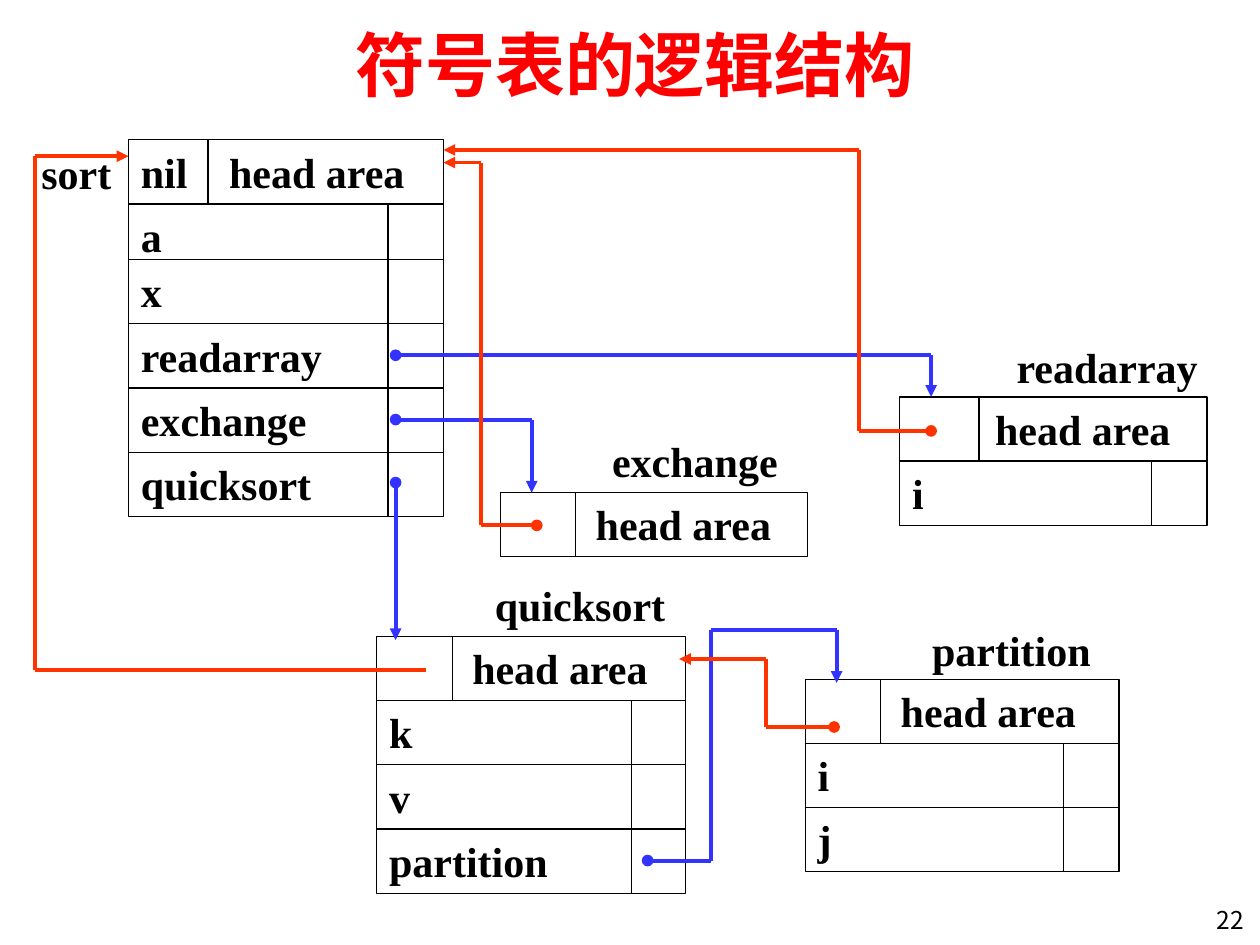
from dataclasses import dataclass
from itertools import pairwise

from lxml.etree import SubElement
from pptx import Presentation
from pptx.dml.color import RGBColor
from pptx.enum.shapes import MSO_CONNECTOR as Connector, MSO_SHAPE as Shape
from pptx.enum.text import MSO_ANCHOR as Anchor, PP_ALIGN as Align
from pptx.oxml.ns import qn
from pptx.util import Inches, Pt


@dataclass(frozen=True)
class Theme:
    sans: str = "Noto Sans CJK SC"
    serif: str = "Times New Roman"
    ink: str = "000000"
    heading: str = "FF0000"
    down: str = "3333FF"
    up: str = "FF3300"
    heading_size: int = 40
    body_size: int = 24
    number_size: int = 14
    thin: float = 0.75
    thick: float = 2.25


THEME = Theme()
ROW = 0.51
SHORT_ROW = 0.44
HEADING = "符号表的逻辑结构"
NUMBER = "22"

TABLES = {
    "sort": dict(
        left=1.02, top=1.11, width=2.5, label=(0.23, 1.12, 0.8), head="nil\thead area",
        split=0.63, tab=0.7, slot=2.06,
        rows=["a", "x", "readarray", "exchange", "quicksort"], short=1),
    "readarray": dict(
        left=7.14, top=3.15, width=2.44, label=(7.97, 2.66, 1.8), head="\thead area",
        split=0.63, tab=0.66, slot=2.0, rows=["i"]),
    "exchange": dict(
        left=3.97, top=3.91, width=2.44, label=(4.76, 3.41, 1.6), head="\thead area",
        split=0.6, tab=0.66, slot=2.0, rows=[]),
    "quicksort": dict(
        left=2.99, top=5.05, width=2.45, label=(3.83, 4.55, 1.7), head="\thead area",
        split=0.6, tab=0.66, slot=2.02, rows=["k", "v", "partition"]),
    "partition": dict(
        left=6.39, top=5.39, width=2.49, label=(7.3, 4.91, 1.6), head="\thead area",
        split=0.6, tab=0.66, slot=2.05, rows=["i", "j"]),
}


def row_height(table, row):
    return SHORT_ROW if row == table.get("short") else ROW


def row_top(table, row):
    return table["top"] + sum(row_height(table, r) for r in range(row))


def spot(name, row, across, down):
    table = TABLES[name]
    return table["left"] + across, row_top(table, row) + down


def route(start, end, *bends):
    points = [start]
    for axis, value in bends:
        x, y = points[-1]
        points.append((value, y) if axis == "x" else (x, value))
    return [*points, end]


def links():
    entry = {
        "readarray": spot("readarray", 0, 0.25, 0),
        "exchange": spot("exchange", 0, 0.25, 0),
        "quicksort": spot("quicksort", 0, 0.15, 0.03),
        "partition": spot("partition", 0, 0.25, 0.03),
    }
    for row, name in enumerate(["readarray", "exchange"], 3):
        yield THEME.down, True, route(
            spot("sort", row, 2.12, 0.25), entry[name], ("x", entry[name][0]))
    yield THEME.down, True, route(
        spot("sort", 5, 2.12, 0.24), entry["quicksort"])
    yield THEME.down, True, route(
        spot("quicksort", 3, 2.15, 0.25), entry["partition"],
        ("x", 5.64), ("y", 5), ("x", entry["partition"][0]))

    returns = [
        ("readarray", 0.25, 0.27, 6.82, spot("sort", 0, 2.5, 0.08), True),
        ("exchange", 0.29, 0.26, 3.82, spot("sort", 0, 2.5, 0.18), True),
        ("partition", 0.23, 0.38, 6.08, spot("quicksort", 0, 2.4, 0.18), True),
        ("quicksort", 0.39, 0.27, 0.28, spot("sort", 0, 0, 0.13), False),
    ]
    for name, across, down, lane, target, dot in returns:
        yield THEME.up, dot, route(
            spot(name, 0, across, down), target, ("x", lane), ("y", target[1]))


def write(shape, text, font=THEME.serif, size=THEME.body_size, color=THEME.ink,
          bold=True, align=Align.LEFT, anchor=Anchor.TOP, tab=None):
    frame = shape.text_frame
    frame.word_wrap = True
    frame.vertical_anchor = anchor
    paragraph = frame.paragraphs[0]
    paragraph.alignment = align
    if tab:
        stops = SubElement(paragraph._p.get_or_add_pPr(), qn("a:tabLst"))
        SubElement(stops, qn("a:tab"), pos=str(Inches(tab)), algn="l")
    run = paragraph.add_run()
    run.text = text
    run.font.name = font
    run.font.size = Pt(size)
    run.font.bold = bold
    run.font.color.rgb = RGBColor.from_string(color)
    SubElement(run._r.get_or_add_rPr(), qn("a:ea"), typeface=font)


def add_text(slide, box, text, **style):
    write(slide.shapes.add_textbox(*map(Inches, box)), text, **style)


def add_line(slide, start, end, color=THEME.ink, width=THEME.thin, head=None, tail=None):
    line = slide.shapes.add_connector(Connector.STRAIGHT, *map(Inches, (*start, *end)))
    line.line.color.rgb = RGBColor.from_string(color)
    line.line.width = Pt(width)
    outline = line.line._get_or_add_ln()
    for tag, kind in (("a:headEnd", head), ("a:tailEnd", tail)):
        if kind:
            SubElement(outline, qn(tag), type=kind)
    SubElement(line._element.spPr, qn("a:effectLst"))


def add_row(slide, table, row, text, divider, tab=None):
    left, top, height = table["left"], row_top(table, row), row_height(table, row)
    cell = slide.shapes.add_shape(
        Shape.RECTANGLE, *map(Inches, (left, top, table["width"], height)))
    cell.shadow.inherit = False
    cell.fill.background()
    cell.line.color.rgb = RGBColor.from_string(THEME.ink)
    cell.line.width = Pt(THEME.thin)
    write(cell, text, tab=tab)
    add_line(slide, (left + divider, top), (left + divider, top + height))


def main():
    deck = Presentation()
    deck.slide_width, deck.slide_height = Inches(10), Inches(7.5)
    slide = deck.slides.add_slide(deck.slide_layouts[5])

    heading = slide.shapes.title
    heading.left, heading.top, heading.width, heading.height = map(
        Inches, (0.33, 0.17, 9.42, 0.67))
    write(heading, HEADING, font=THEME.sans, size=THEME.heading_size,
          color=THEME.heading, align=Align.CENTER, anchor=Anchor.MIDDLE)

    for name, table in TABLES.items():
        add_text(slide, (*table["label"], 0.5), name)
        add_row(slide, table, 0, table["head"], table["split"], table["tab"])
        for row, entry in enumerate(table["rows"], 1):
            add_row(slide, table, row, entry, table["slot"])

    for color, dot, points in links():
        segments = list(pairwise(points))
        for index, (start, end) in enumerate(segments):
            add_line(slide, start, end, color, THEME.thick,
                     head="oval" if dot and index == 0 else None,
                     tail="triangle" if index == len(segments) - 1 else None)

    add_text(slide, (9.14, 7.13, 0.83, 0.36), NUMBER, font=THEME.sans,
             size=THEME.number_size, bold=False, align=Align.RIGHT)
    deck.save("out.pptx")


if __name__ == "__main__":
    main()
